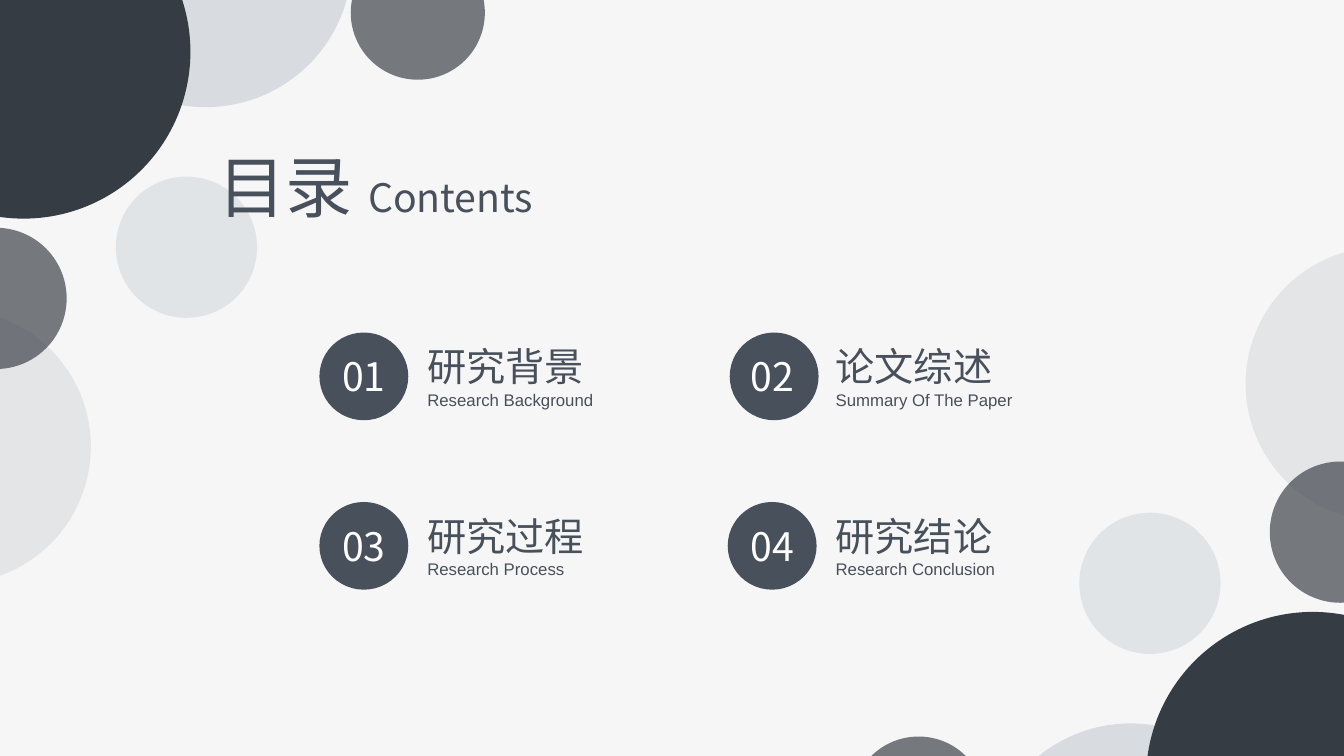
from dataclasses import dataclass

from lxml.etree import SubElement
from pptx import Presentation
from pptx.dml.color import RGBColor
from pptx.enum.shapes import MSO_SHAPE as Preset
from pptx.enum.text import MSO_AUTO_SIZE as AutoSize, PP_ALIGN as Align
from pptx.oxml.ns import qn
from pptx.slide import Slide
from pptx.util import Cm, Pt


@dataclass(frozen=True)
class Theme:
    paper: str = "F6F6F6"
    slate: str = "48505B"
    charcoal: str = "363C44"
    mist: str = "D8DCE0"
    white: str = "FFFFFF"
    heading_font: str = "Noto Sans CJK SC"
    caption_font: str = "Arial"
    title_size: int = 48
    heading_size: int = 28
    caption_size: int = 12


@dataclass(frozen=True)
class Bubble:
    left: float
    top: float
    diameter: float
    colour: str
    opacity: int = 100
    mirror_rise: float = 0


@dataclass(frozen=True)
class Entry:
    heading: str
    caption: str
    label_width: float
    disc_nudge: float = 0


@dataclass(frozen=True)
class Run:
    text: str
    size: int
    font: str
    colour: str


THEME = Theme()
# Opposite bubbles are point reflections: their centres add up to these sums.
MIRROR_X, MIRROR_Y = 33.68, 20.93
COLUMN_PITCH, ROW_PITCH = 10.29, 4.27

BUBBLES = [
    Bubble(1.5, -4.67, 7.37, THEME.mist),
    Bubble(8.84, -1.37, 3.38, THEME.charcoal, 67, mirror_rise=0.36),
    Bubble(-3.61, -2.9, 8.41, THEME.charcoal),
    Bubble(2.92, 4.45, 3.56, THEME.mist, 67),
    Bubble(-1.88, 5.74, 3.56, THEME.charcoal, 67),
    Bubble(-4.62, 7.8, 6.91, THEME.slate, 10),
]
ENTRIES = [
    Entry("研究背景", "Research Background", 4.72),
    Entry("论文综述", "Summary Of The Paper", 5.0, disc_nudge=0.05),
    Entry("研究过程", "Research Process", 4.5),
    Entry("研究结论", "Research Conclusion", 4.7),
]


def add_ellipse(slide: Slide, left: float, top: float, width: float,
                height: float, colour: str, opacity: int = 100) -> None:
    shape = slide.shapes.add_shape(
        Preset.OVAL, Cm(left), Cm(top), Cm(width), Cm(height))
    shape.shadow.inherit = False
    shape.line.fill.background()
    shape.fill.solid()
    shape.fill.fore_color.rgb = RGBColor.from_string(colour)
    if opacity < 100:
        colour_element = shape.fill._xPr.find(".//" + qn("a:srgbClr"))
        SubElement(colour_element, qn("a:alpha"), val=str(opacity * 1000))


def add_text(slide: Slide, paragraphs: list[list[Run]], *, left: float,
             top: float, width: float, height: float,
             align: Align = Align.LEFT, wrap: bool = False) -> None:
    box = slide.shapes.add_textbox(Cm(left), Cm(top), Cm(width), Cm(height))
    frame = box.text_frame
    frame.word_wrap = wrap
    frame.auto_size = AutoSize.SHAPE_TO_FIT_TEXT
    for index, runs in enumerate(paragraphs):
        paragraph = frame.add_paragraph() if index else frame.paragraphs[0]
        paragraph.alignment = align
        for item in runs:
            run = paragraph.add_run()
            run.text = item.text
            run.font.size = Pt(item.size)
            run.font.name = item.font
            run.font.color.rgb = RGBColor.from_string(item.colour)
            SubElement(run.font._element, qn("a:ea"), typeface=item.font)


def add_bubbles(slide: Slide, mirrored: bool) -> None:
    for bubble in BUBBLES:
        left, top, diameter = bubble.left, bubble.top, bubble.diameter
        if mirrored:
            left = MIRROR_X - left - diameter
            top = MIRROR_Y - top - diameter - bubble.mirror_rise
        add_ellipse(slide, left, top, diameter, diameter,
                    bubble.colour, bubble.opacity)


def heading_run(text: str, size: int = THEME.heading_size,
                colour: str = THEME.slate) -> Run:
    return Run(text, size, THEME.heading_font, colour)


def add_entry(slide: Slide, index: int, entry: Entry) -> None:
    row, column = divmod(index, 2)
    x, y = column * COLUMN_PITCH, row * ROW_PITCH
    add_ellipse(slide, 8.05 + x + entry.disc_nudge, 8.38 + y, 2.24, 2.21,
                THEME.slate)
    add_text(slide, [[heading_run(f"{index + 1:02}", colour=THEME.white)]],
             left=8.33 + x, top=8.76 + y, width=1.68, height=1.45,
             align=Align.CENTER)
    caption = Run(entry.caption, THEME.caption_size, THEME.caption_font,
                  THEME.slate)
    add_text(slide, [[heading_run(entry.heading)], [caption]],
             left=10.52 + x, top=8.51 + y, width=entry.label_width,
             height=1.96)


def main() -> None:
    presentation = Presentation()
    presentation.slide_width, presentation.slide_height = Cm(33.87), Cm(19.05)
    slide = presentation.slides.add_slide(presentation.slide_layouts[6])
    slide.background.fill.solid()
    slide.background.fill.fore_color.rgb = RGBColor.from_string(THEME.paper)
    for mirrored in (False, True):
        add_bubbles(slide, mirrored)
    add_text(slide, [[heading_run("目录 ", THEME.title_size),
                      heading_run("Contents")]],
             left=5.26, top=3.53, width=8.81, height=2.31, wrap=True)
    for index, entry in enumerate(ENTRIES):
        add_entry(slide, index, entry)
    presentation.save("out.pptx")


if __name__ == "__main__":
    main()
